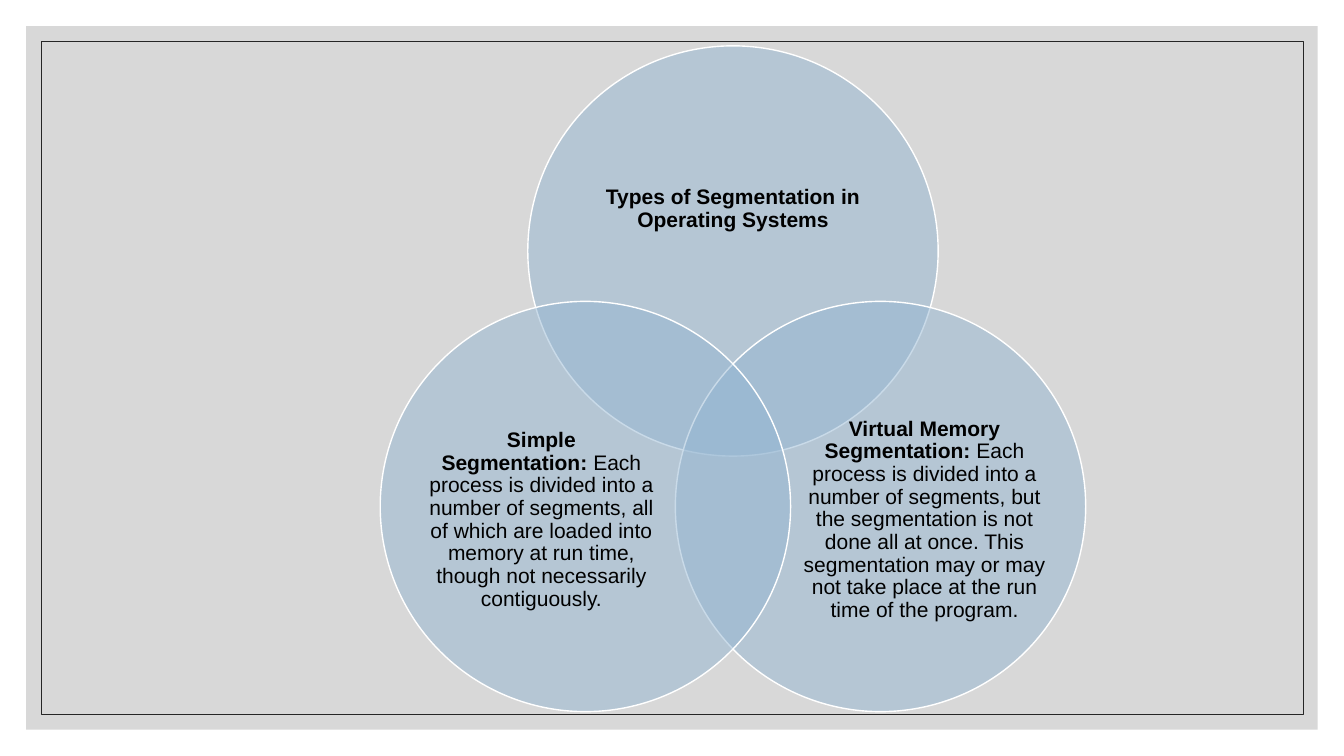
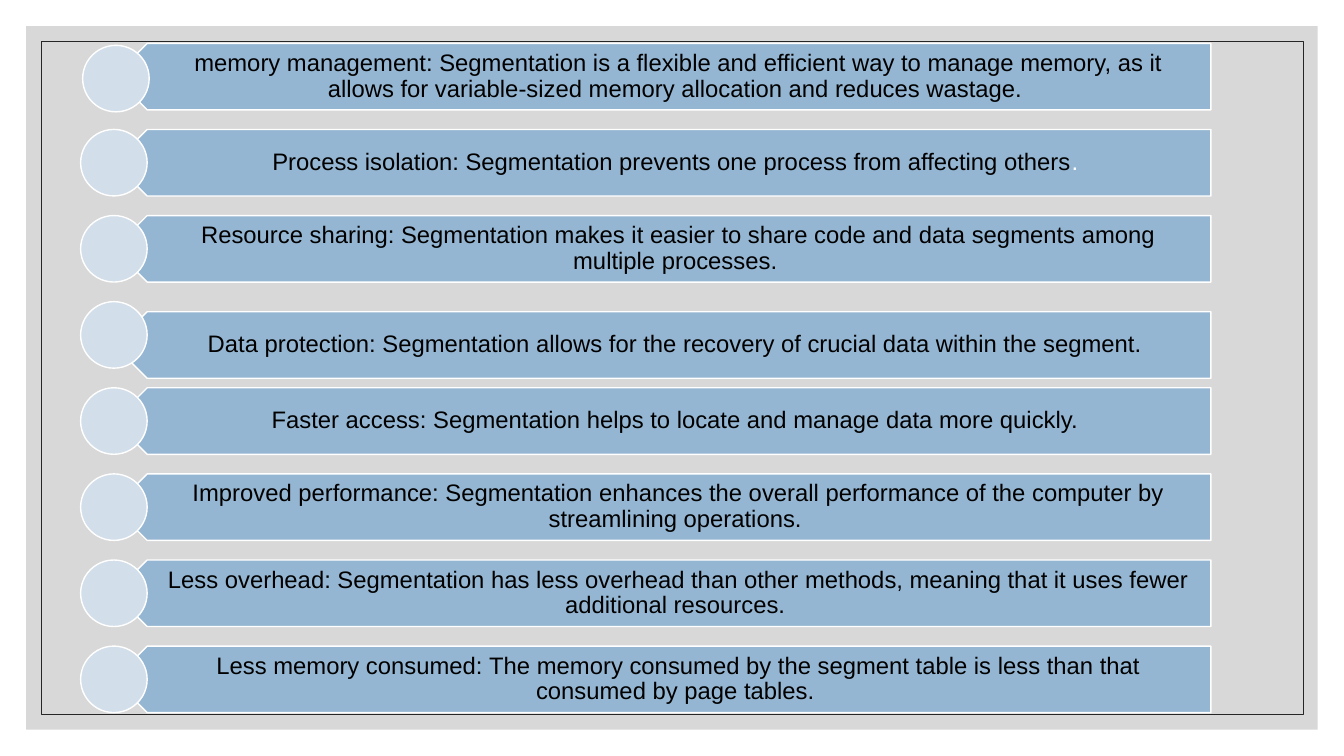
"""Build two slides on memory segmentation: a Venn diagram and a list of benefits."""
import math

from lxml import etree
from pptx import Presentation
from pptx import util as u
from pptx.dml.color import RGBColor
from pptx.enum import shapes, text
from pptx.oxml.ns import qn

WHITE = RGBColor(0xFF, 0xFF, 0xFF)
BLACK = RGBColor(0x00, 0x00, 0x00)
GREY = RGBColor(0xBF, 0xBF, 0xBF)
DARK = RGBColor(0x26, 0x26, 0x26)
BLUE = RGBColor(0x94, 0xB6, 0xD2)
PALE = RGBColor(0xD2, 0xDE, 0xEA)
FONT = "Arial"
KIND = shapes.MSO_SHAPE
HARD_SPACE = chr(160)

DISC = 4.07
HUB = (7.27, 4.18)
REACH = 1.69
CIRCLES = [
    (-90, (5.78, 1.16, 2.98, 1.83),
     "Types of Segmentation in Operating Systems", ""),
    (30, (7.95, 4.04, 2.44, 2.24), "Virtual Memory Segmentation:",
     "Each process is divided into a number of segments, but the segmentation "
     "is not done all at once. This segmentation may or may not take place at "
     "the run time of the program."),
    (150, (4.15, 4.04, 2.44, 2.24), "Simple Segmentation:",
     "Each process is divided into a number of segments, all of which are "
     "loaded into memory at run time, though not necessarily contiguously."),
]

FIRST = 0.43
LAST = 6.41
SIZE = 0.66
DOT = (0.8, 0)
DOT_MOVES = {0: (0.82, 0.02)}
BAR_DROPS = {3: 0.1}
STOP_COLORS = {1: WHITE}
BENEFITS = [
    ("memory management", "Segmentation is a flexible and efficient way to manage "
     "memory, as it allows for variable-sized memory allocation and reduces "
     "wastage"),
    ("Process isolation",
     "Segmentation prevents one process from affecting others"),
    ("Resource sharing", "Segmentation makes it easier to share code and data "
     "segments among multiple processes"),
    ("Data protection", "Segmentation allows for the recovery of crucial data "
     "within the segment"),
    ("Faster access", "Segmentation helps to locate and manage data more quickly"),
    ("Improved performance", "Segmentation enhances the overall performance of the "
     "computer by streamlining operations"),
    ("Less overhead", "Segmentation has less overhead than other methods, meaning "
     "that it uses fewer additional resources"),
    ("Less memory consumed", "The memory consumed by the segment table is less "
     "than that consumed by page tables"),
]


def add_form(slide, kind, box, fill=None, line=WHITE, width=1, alpha=None):
    """Add a preset shape with an optional fill, outline and opacity in percent."""
    form = slide.shapes.add_shape(kind, *map(u.Inches, box))
    form.shadow.inherit = False
    if fill is None:
        form.fill.background()
    else:
        form.fill.solid()
        form.fill.fore_color.rgb = fill
    if line is None:
        form.line.fill.background()
    else:
        form.line.color.rgb = line
        form.line.width = u.Pt(width)
    if alpha is not None:
        tint = form.element.spPr.find(qn("a:solidFill"))[0]
        etree.SubElement(tint, qn("a:alpha"), val=str(alpha * 1000))
    return form


def add_label(slide, box, parts, size, insets=(0, 0, 0, 0)):
    """Add a centred text box of (words, bold, colour) parts."""
    frame = slide.shapes.add_textbox(*map(u.Inches, box)).text_frame
    frame.word_wrap = True
    frame.vertical_anchor = text.MSO_ANCHOR.MIDDLE
    (frame.margin_left, frame.margin_top,
     frame.margin_right, frame.margin_bottom) = map(u.Inches, insets)
    para = frame.paragraphs[0]
    para.alignment = text.PP_ALIGN.CENTER
    para.line_spacing = 0.9
    for words, bold, color in parts:
        run = para.add_run()
        run.text = words
        run.font.name = FONT
        run.font.size = u.Pt(size)
        run.font.bold = bold
        run.font.color.rgb = color


def add_frame(master, slide):
    """Give the master its grey panel and thin border."""
    panel = add_form(slide, KIND.RECTANGLE, (0.26, 0.26, 12.81, 6.98),
                     GREY, line=None, alpha=60)
    border = add_form(slide, KIND.RECTANGLE, (0.41, 0.41, 12.52, 6.68),
                      line=DARK, width=0.5)
    for place, form in enumerate((panel, border), 2):
        master.shapes.element.insert(place, form.element)


def draw_venn(slide):
    """Draw the circles evenly around their hub, each with its label."""
    for angle, box, head, body in CIRCLES:
        turn = math.radians(angle)
        left = HUB[0] + REACH * math.cos(turn) - DISC / 2
        top = HUB[1] + REACH * math.sin(turn) - DISC / 2
        add_form(slide, KIND.OVAL, (left, top, DISC, DISC), BLUE, alpha=50)
        parts = [(head, True, BLACK)]
        if body:
            parts.append((HARD_SPACE + body, False, BLACK))
        add_label(slide, box, parts, 15)


def draw_list(slide):
    """Draw one arrow bar, label and dot for each benefit."""
    pitch = (LAST - FIRST) / (len(BENEFITS) - 1)
    for row, (head, body) in enumerate(BENEFITS):
        top = FIRST + row * pitch
        level = top + BAR_DROPS.get(row, 0)
        bar = add_form(slide, KIND.PENTAGON, (1.13, level, 10.88, SIZE), BLUE)
        bar.rotation = 180
        parts = [(f"{head}:{HARD_SPACE}{body}", False, BLACK),
                 (f".{HARD_SPACE}", False, STOP_COLORS.get(row, BLACK))]
        add_label(slide, (1.29, level, 10.72, SIZE), parts, 17,
                  (0.29, 0.07, 0.13, 0.07))
        left, drop = DOT_MOVES.get(row, DOT)
        add_form(slide, KIND.OVAL, (left, top + drop, SIZE, SIZE), PALE)


def main():
    """Build and save the deck."""
    deck = Presentation()
    deck.slide_width = u.Inches(13.33)
    deck.slide_height = u.Inches(7.5)
    blank = deck.slide_layouts[6]
    venn, benefits = (deck.slides.add_slide(blank) for _ in range(2))
    add_frame(deck.slide_master, venn)
    draw_venn(venn)
    draw_list(benefits)
    deck.save("out.pptx")


if __name__ == "__main__":
    main()
